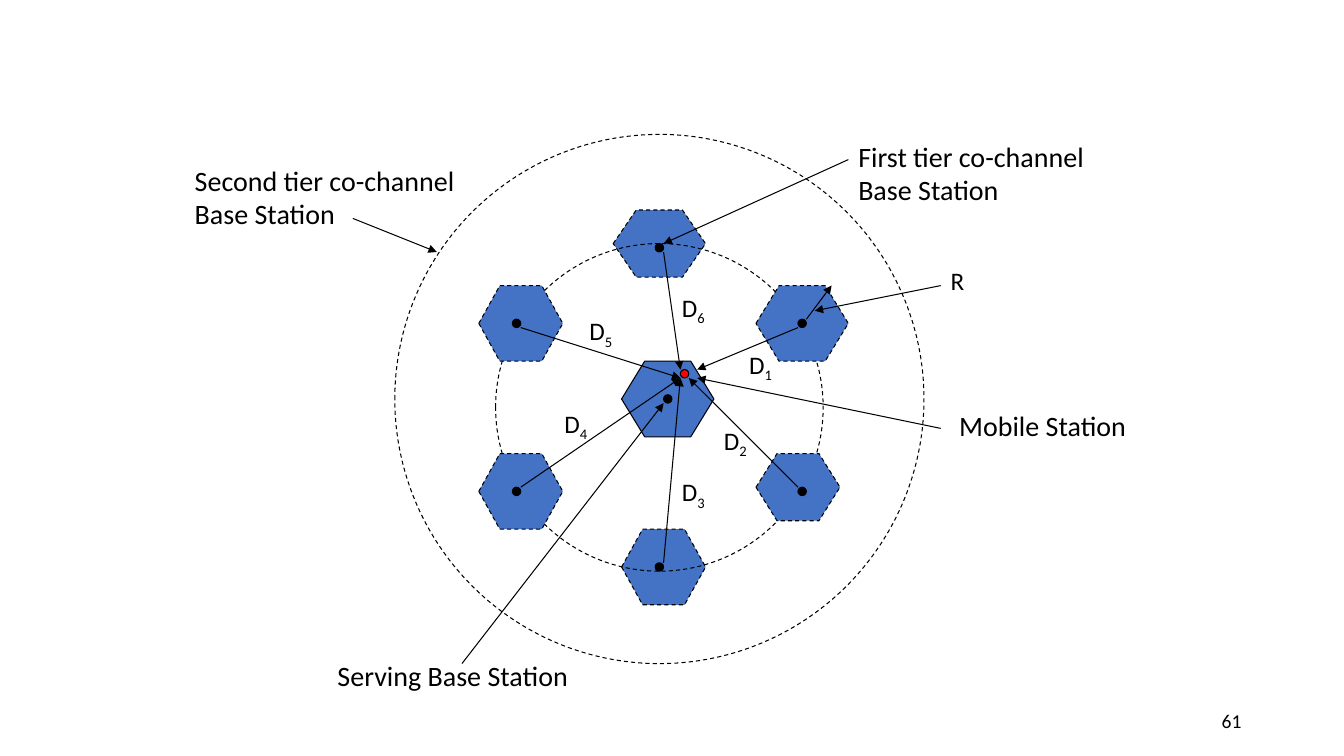
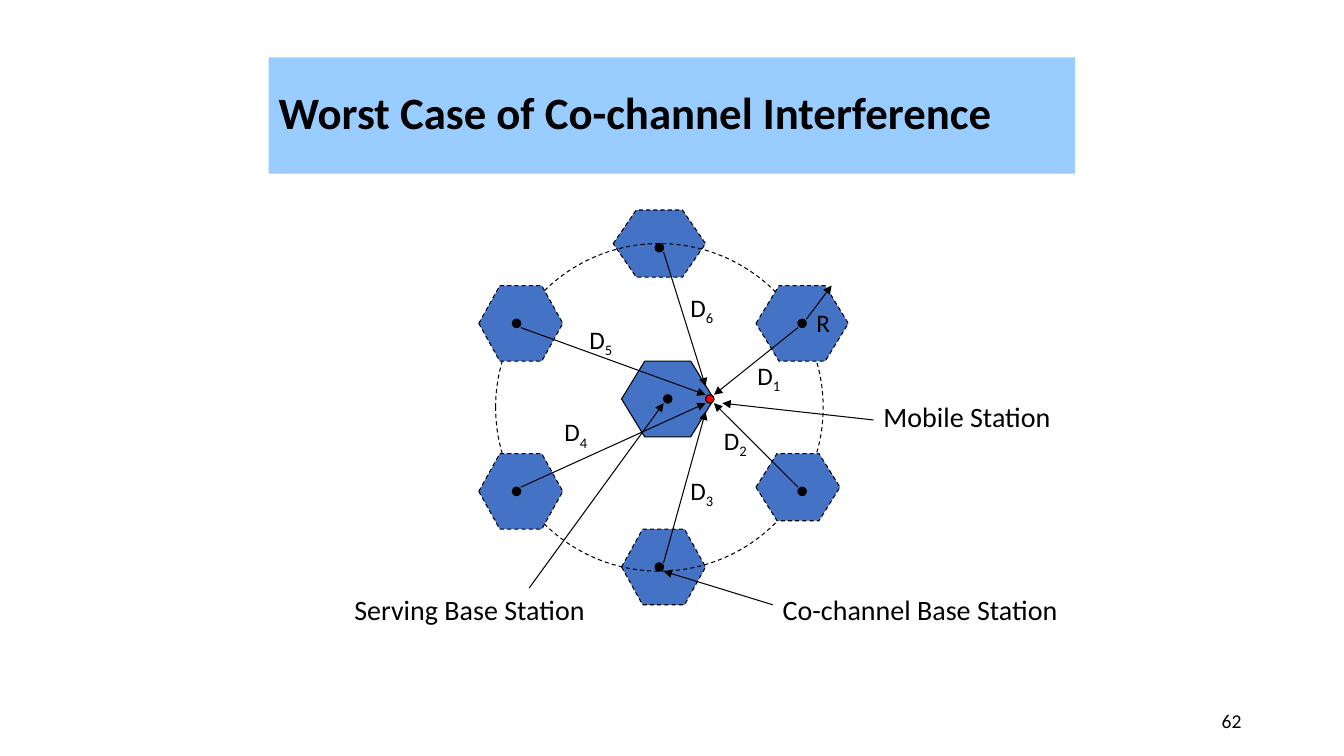
from lxml import etree
from pptx import Presentation
from pptx.dml.color import RGBColor
from pptx.enum.dml import MSO_LINE
from pptx.enum.shapes import MSO_CONNECTOR, MSO_SHAPE
from pptx.enum.text import MSO_ANCHOR, MSO_AUTO_SIZE, PP_ALIGN
from pptx.oxml.ns import qn
from pptx.util import Pt

HEXAGON, OVAL = MSO_SHAPE.HEXAGON, MSO_SHAPE.OVAL
STRAIGHT = MSO_CONNECTOR.STRAIGHT
DASH = MSO_LINE.DASH
MIDDLE = MSO_ANCHOR.MIDDLE
FIT = MSO_AUTO_SIZE.SHAPE_TO_FIT_TEXT
LEFT, RIGHT = PP_ALIGN.LEFT, PP_ALIGN.RIGHT

FONT = "Calibri"
BLACK, RED, CELL_BLUE, TITLE_BLUE = "000000", "FF0000", "4472C4", "99CCFF"
DOT = 6
LINE_WIDTH = 0.75

# Left, top, width, height
SERVING_CELL = (444, 258, 66, 54)
CELLS_UNDER_RING = [(438, 150, 66, 48), (444, 378, 60, 54)]
CELLS_OVER_RING = [(540, 204, 66, 54), (540, 324, 60, 48),
                   (342, 204, 60, 54), (342, 324, 60, 54)]
FIRST_TIER = (354, 174, 234, 234)
SECOND_TIER = (282, 96, 378, 378)

# Left, top of the dot of each base station
SERVING_DOT = (474, 282)
STATION_DOTS = [(570, 228), (570, 348), (468, 402),
                (366, 348), (366, 228), (468, 174)]

# Starts of the distance arrows D1 to D6
DISTANCE_STARTS = [(570, 234), (570, 348), (474, 402),
                   (372, 348), (372, 234), (474, 180)]
RADIUS_ARROW = ((576, 228), (594, 204))

GENERAL_CASE = {
    "number": "61",
    "mobile": (486, 264),
    "ends": [(498, 264), (492, 270), (486, 270),
             (486, 270), (486, 270), (486, 264)],
    "distance_labels": [(528, 246), (510, 300), (480, 337),
                        (396, 288), (414, 222), (480, 205)],
    "radius_label": (672, 186),
    "labels": [("Mobile Station", 678, 288, 156),
               ("Serving Base Station", 234, 466.5, 186),
               ("First tier co-channel Base Station", 606, 96, 180),
               ("Second tier co-channel Base Station", 132, 113, 204)],
    "pointers": [((672, 306), (498, 270)), ((330, 474), (474, 288)),
                 ((606, 114), (474, 174)), ((252, 156), (312, 180)),
                 ((672, 204), (582, 222))],
}
WORST_CASE = {
    "number": "62",
    "mobile": (504, 282),
    "ends": [(510, 282), (510, 288), (504, 294),
             (504, 288), (504, 282), (504, 276)],
    "distance_labels": [(534, 253.5), (510, 300), (486, 336),
                        (396, 294), (414, 228), (486, 205)],
    "radius_label": (576, 216),
    "labels": [("Mobile Station", 624, 282, 156),
               ("Serving Base Station", 246, 420, 186),
               ("Co-channel Base Station", 552, 420, 222)],
    "pointers": [((624, 300), (516, 288)), ((378, 420), (474, 288)),
                 ((552, 432), (474, 408))],
}


def color(value):
    return RGBColor.from_string(value)


def add_outline(slide, kind, place, fill=None, dash=None):
    """Add a thin black preset outline, hollow unless a fill is given."""
    shape = slide.shapes.add_shape(kind, *map(Pt, place))
    shape.shadow.inherit = False
    if fill:
        shape.fill.solid()
        shape.fill.fore_color.rgb = color(fill)
    else:
        shape.fill.background()
    shape.line.color.rgb = color(BLACK)
    shape.line.width = Pt(LINE_WIDTH)
    if dash:
        shape.line.dash_style = dash
    return shape


def add_cell(slide, place, dash=DASH):
    """Add a hexagon whose slanted sides take a quarter of its width."""
    hexagon = add_outline(slide, HEXAGON, place, CELL_BLUE, dash)
    width, height = place[2:]
    hexagon.adjustments[0] = 0.25 * width / height


def add_dot(slide, corner, fill=BLACK):
    add_outline(slide, OVAL, (*corner, DOT, DOT), fill)


def add_arrow(slide, start, end):
    arrow = slide.shapes.add_connector(STRAIGHT, *map(Pt, (*start, *end)))
    arrow.line.color.rgb = color(BLACK)
    arrow.line.width = Pt(LINE_WIDTH)
    line = arrow.line._get_or_add_ln()
    etree.SubElement(line, qn("a:tailEnd"), type="triangle")
    etree.SubElement(arrow._element.spPr, qn("a:effectLst"))


def add_text(slide, text, place, size, align=LEFT, bold=False, subscript=""):
    box = slide.shapes.add_textbox(*map(Pt, place))
    frame = box.text_frame
    frame.word_wrap = True
    para = frame.paragraphs[0]
    para.alignment = align
    para.text = text
    if subscript:
        span = para.add_run()
        span.text = subscript
        span._r.get_or_add_rPr().set("baseline", "-25000")
    for span in para.runs:
        span.font.name = FONT
        span.font.size = Pt(size)
        span.font.bold = bold
        span.font.color.rgb = color(BLACK)
    return box


def add_label(slide, text, left, top, width, size=20, subscript=""):
    box = add_text(slide, text, (left, top, width, size + 11), size,
                   subscript=subscript)
    box.text_frame.auto_size = FIT


def add_title(slide, text):
    box = add_text(slide, text, (192, 41, 576, 83), 32, bold=True)
    box.fill.solid()
    box.fill.fore_color.rgb = color(TITLE_BLUE)
    box.text_frame.vertical_anchor = MIDDLE
    box.text_frame.paragraphs[0].line_spacing = 0.9


def add_page_number(slide, number):
    box = add_text(slide, number, (678, 500.5, 216, 29), 14, RIGHT)
    box.text_frame.vertical_anchor = MIDDLE


def add_cluster(slide, mobile):
    """Add the serving cell, its six co-channel cells and the mobile station."""
    add_cell(slide, SERVING_CELL, dash=None)
    for place in CELLS_UNDER_RING:
        add_cell(slide, place)
    add_outline(slide, OVAL, FIRST_TIER, dash=DASH)
    for place in CELLS_OVER_RING:
        add_cell(slide, place)
    add_dot(slide, SERVING_DOT)
    add_dot(slide, mobile, RED)
    for corner in STATION_DOTS:
        add_dot(slide, corner)


def add_annotations(slide, case):
    for start, end in zip(DISTANCE_STARTS, case["ends"]):
        add_arrow(slide, start, end)
    for start, end in [RADIUS_ARROW, *case["pointers"]]:
        add_arrow(slide, start, end)
    for label in case["labels"]:
        add_label(slide, *label)
    add_label(slide, "R", *case["radius_label"], 30, 18)
    for index, corner in enumerate(case["distance_labels"], start=1):
        add_label(slide, "D", *corner, 42, 18, subscript=str(index))


def add_case_slide(deck, case):
    slide = deck.slides.add_slide(deck.slide_layouts[6])
    add_page_number(slide, case["number"])
    add_cluster(slide, case["mobile"])
    add_annotations(slide, case)
    return slide


def main():
    deck = Presentation()
    deck.slide_width, deck.slide_height = Pt(960), Pt(540)
    general = add_case_slide(deck, GENERAL_CASE)
    add_outline(general, OVAL, SECOND_TIER, dash=DASH)
    worst = add_case_slide(deck, WORST_CASE)
    add_title(worst, "Worst Case of Co-channel Interference")
    deck.save("out.pptx")


if __name__ == "__main__":
    main()
